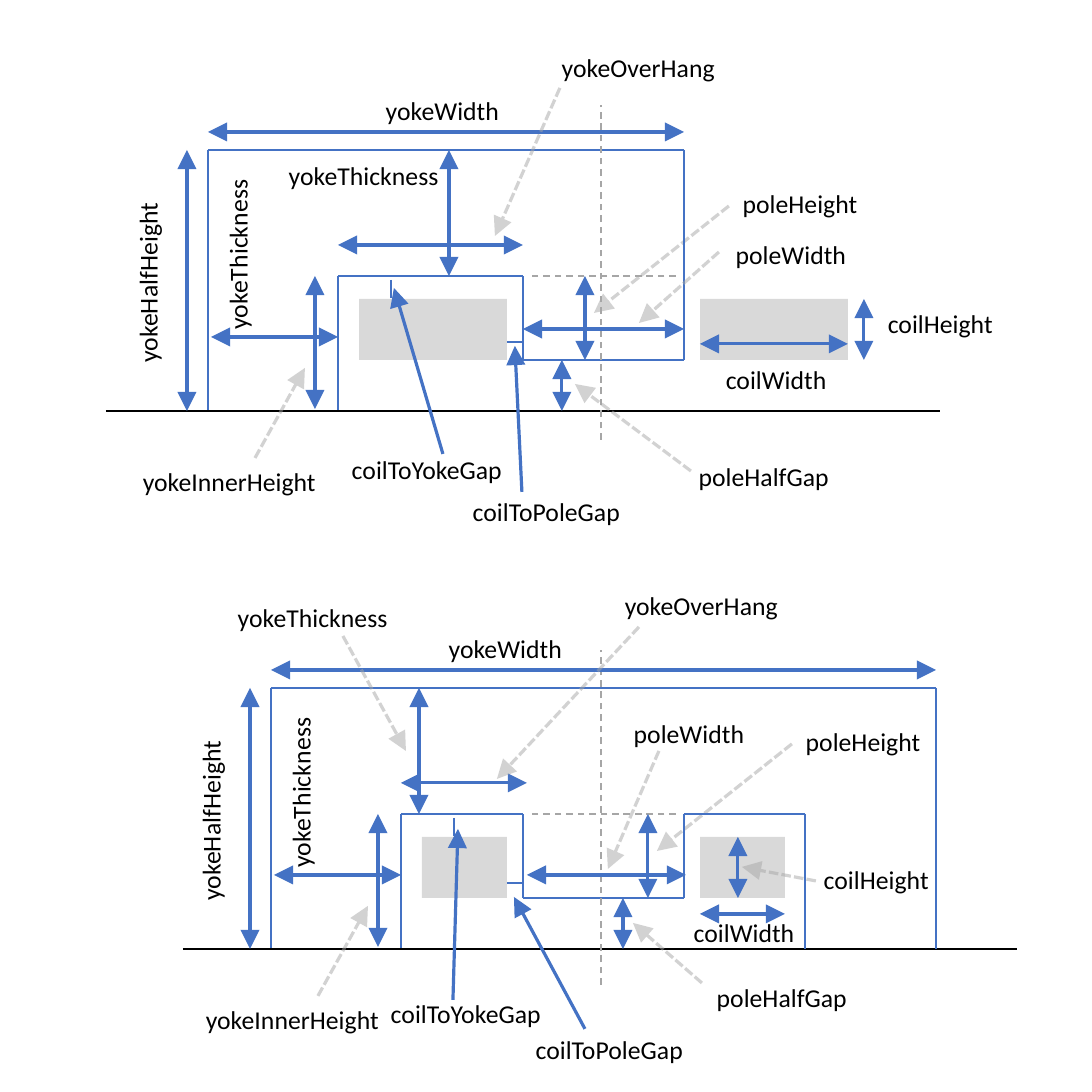
from lxml.etree import SubElement
from pptx import Presentation
from pptx.dml.color import RGBColor as Rgb
from pptx.enum.dml import MSO_LINE as Dash
from pptx.enum.shapes import MSO_CONNECTOR as Link, MSO_SHAPE as Form
from pptx.enum.text import MSO_AUTO_SIZE as Fit
from pptx.oxml.ns import qn
from pptx.util import Pt

SCALE = 914400 / 231.4
SIDE = 1092
HEX = {"blue": "4472C4", "grey": "A6A6A6", "coil": "D9D9D9", "black": "000000"}
PENS = {
    "edge": dict(hue="blue", size=0.5),
    "base": dict(hue="black", size=0.5),
    "axis": dict(hue="grey", size=0.5, dash=Dash.DASH),
    "span": dict(hue="blue", size=1, ends=("headEnd", "tailEnd")),
    "point": dict(hue="blue", size=1, ends=("tailEnd",)),
    "lead": dict(hue="grey", size=1, dash=Dash.SQUARE_DOT, alpha=50, ends=("tailEnd",)),
}
WIDTHS = {
    "yokeThickness": 199, "yokeHalfHeight": 211, "yokeWidth": 162,
    "yokeInnerHeight": 222, "yokeOverHang": 204, "poleWidth": 160,
    "poleHeight": 164, "poleHalfGap": 178, "coilHeight": 153,
    "coilWidth": 148, "coilToPoleGap": 199, "coilToYokeGap": 204,
}
INNER, ROOF, FOOT = 130, 126, 210
POLE = 161
COIL_TOP, COIL_TALL = 149, 61


def emu(px):
    """Turn pixels into EMU."""
    return round(px * SCALE)


def style(link, hue, size, dash=None, alpha=None, ends=()):
    """Format a connector as one kind of pen."""
    pen = link.line
    pen.width = Pt(size)
    pen.color.rgb = Rgb.from_string(HEX[hue])
    if dash:
        pen.dash_style = dash
    props = link._element.spPr
    ln = props.find(qn("a:ln"))
    if alpha:
        tone = ln.find(".//" + qn("a:srgbClr"))
        SubElement(tone, qn("a:alpha")).set("val", str(alpha * 1000))
    for end in ends:
        SubElement(ln, qn("a:" + end)).set("type", "triangle")
    SubElement(props, qn("a:effectLst"))


def draw(group, box, kind, *lines):
    """Draw lines given as x1, y1, x2, y2 from the corner of the box."""
    left, top = box[:2]
    for x1, y1, x2, y2 in lines:
        ends = (left + x1, top + y1, left + x2, top + y2)
        link = group.shapes.add_connector(Link.STRAIGHT, *map(emu, ends))
        style(link, **PENS[kind])


def trace(group, box, *points):
    """Draw a chain of edges through the points."""
    draw(group, box, "edge", *(a + b for a, b in zip(points, points[1:])))


def write(group, box, text, x, y, turn=0, size=8, font="Calibri", hue="black"):
    """Place one label from the corner of the box."""
    area = (box[0] + x, box[1] + y, WIDTHS[text], 56)
    label = group.shapes.add_textbox(*map(emu, area))
    label.rotation = turn
    frame = label.text_frame
    frame.word_wrap = False
    frame.auto_size = Fit.SHAPE_TO_FIT_TEXT
    run = frame.paragraphs[0].add_run()
    run.text = text
    run.font.size = Pt(size)
    run.font.name = font
    run.font.color.rgb = Rgb.from_string(HEX[hue])


def coils(group, box, pole):
    """Fill both coils beside the pole and return the left edge of each and their width."""
    near, far = INNER + 21, pole + POLE + 16
    wide = pole - 16 - near
    for x in (near, far):
        area = (box[0] + x, box[1] + COIL_TOP, wide, COIL_TALL)
        coil = group.shapes.add_shape(Form.RECTANGLE, *map(emu, area))
        coil.shadow.inherit = False
        coil.fill.solid()
        coil.fill.fore_color.rgb = Rgb.from_string(HEX["coil"])
        coil.line.fill.background()
    return near, far, wide


def yoke(group, box, pole, base, rise, thick, over, gap, tall, half, level, side):
    """Draw the yoke, coils and sizes which both magnets share."""
    wide, high = box[2:]
    near, far, span = coils(group, box, pole)
    end = pole + POLE
    trace(group, box, (0, high), (0, 0), (wide, 0))
    trace(group, box, (end, FOOT), (pole, FOOT), (pole, ROOF),
          (INNER, ROOF), (INNER, high))
    draw(group, box, "base", (base, high, base + 834, high))
    draw(group, box, "edge", (183, 130, 183, 148), (near + span, gap, pole, gap))
    draw(group, box, "axis", (end - 8, ROOF, pole + 8, ROOF),
         (pole + 78, rise + 335, pole + 78, rise))
    draw(group, box, "span",
         (0, -18, wide, -18),
         (-21, 0, -21, high),
         (3, 187, INNER, 187),
         (107, ROOF, 107, high - 2),
         (thick, 0, thick, ROOF),
         (INNER, 95, pole + over, 95),
         (pole + over, level, end + over // 2, level),
         (tall, ROOF, tall, FOOT),
         (half, high, half, FOOT),
         (far, side, far + span, side))
    draw(group, box, "lead", (47, 308, 97, 218), (521, 56, 386, 163))
    write(group, box, "yokeThickness", -69, 75, turn=270)
    write(group, box, "yokeHalfHeight", -165, 102, turn=270)
    for text, x, y in (("yokeWidth", 155, -67), ("yokeInnerHeight", -88, 304),
                       ("yokeOverHang", 331, -110), ("poleHeight", 512, 26),
                       ("coilToPoleGap", 242, 334)):
        write(group, box, text, x, y)


def cmag(group, box):
    """Draw the magnet whose yoke is open on the right."""
    wide = box[2]
    yoke(group, box, pole=315, base=-102, rise=-45, thick=241, over=0, gap=192,
         tall=377, half=354, level=179, side=194)
    trace(group, box, (wide, 0), (wide, FOOT))
    draw(group, box, "span", (656, COIL_TOP, 656, COIL_TOP + COIL_TALL))
    draw(group, box, "point", (235, 304, 186, 138), (314, 342, 307, 196))
    draw(group, box, "lead", (352, -62, 287, 86), (511, 102, 431, 173),
         (483, 321, 367, 234))
    for text, x, y in (("yokeThickness", 58, -2), ("poleWidth", 505, 77),
                       ("coilToYokeGap", 121, 292), ("coilHeight", 657, 146),
                       ("coilWidth", 495, 202), ("poleHalfGap", 468, 299)):
        write(group, box, text, x, y)


def hmag(group, box):
    """Draw the magnet whose yoke closes around both coils."""
    wide, high = box[2:]
    yoke(group, box, pole=252, base=-88, rise=-38, thick=148, over=4, gap=195,
         tall=377, half=352, level=187, side=226)
    trace(group, box, (wide, 0), (wide, high))
    trace(group, box, (413, FOOT), (413, ROOF), (534, ROOF), (534, high))
    draw(group, box, "span", (467, COIL_TOP, 467, COIL_TOP + COIL_TALL))
    draw(group, box, "point", (182, 312, 187, 141), (314, 341, 243, 209))
    draw(group, box, "lead", (368, -61, 226, 91), (388, 63, 337, 181),
         (431, 295, 362, 235), (545, 193, 471, 179), (72, -52, 135, 63))
    for text, x, y in (("yokeThickness", -56, -98), ("poleWidth", 340, 18),
                       ("coilToYokeGap", 97, 298), ("coilHeight", 530, 164),
                       ("coilWidth", 400, 217), ("poleHalfGap", 423, 282)):
        write(group, box, text, x, y)


deck = Presentation()
deck.slide_width = deck.slide_height = emu(SIDE)
page = deck.slides.add_slide(deck.slide_layouts[6])
for plot, box in ((hmag, (271, 688, 665, 261)), (cmag, (208, 150, 476, 261))):
    plot(page.shapes.add_group_shape(), box)
deck.save("out.pptx")
